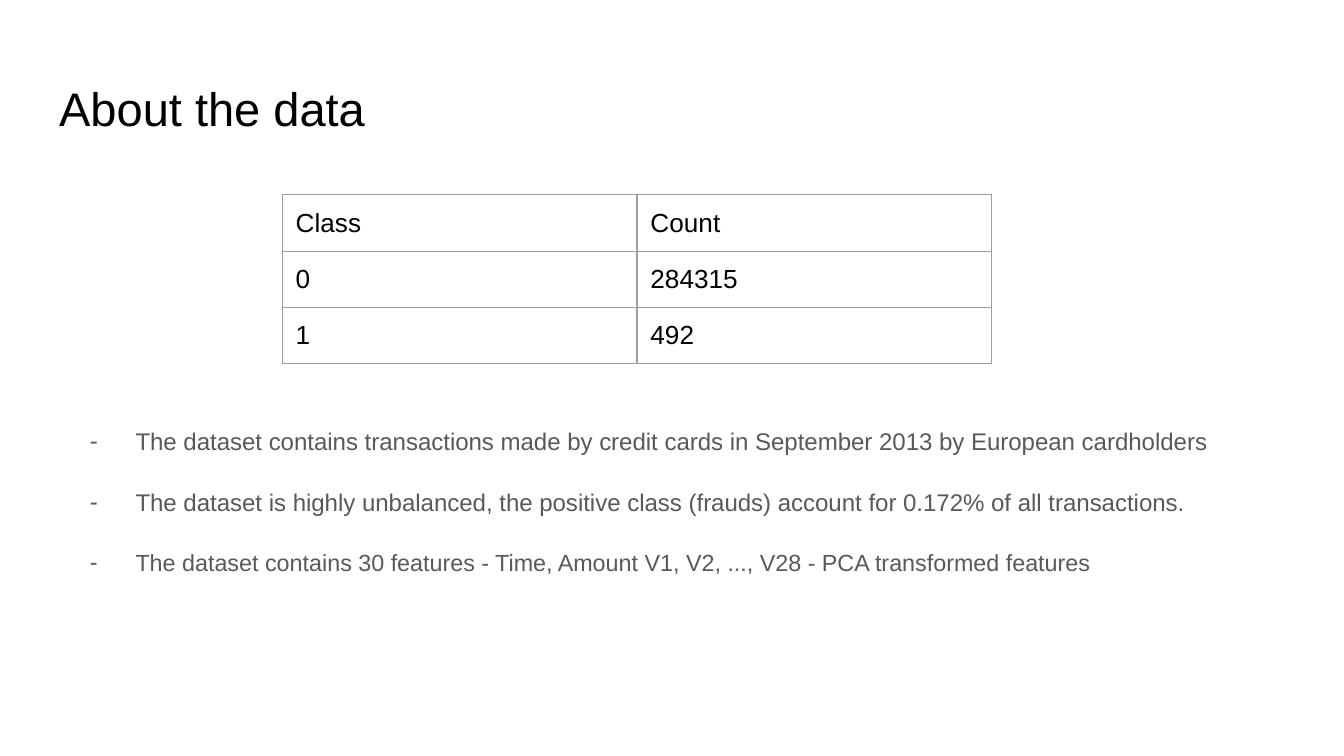
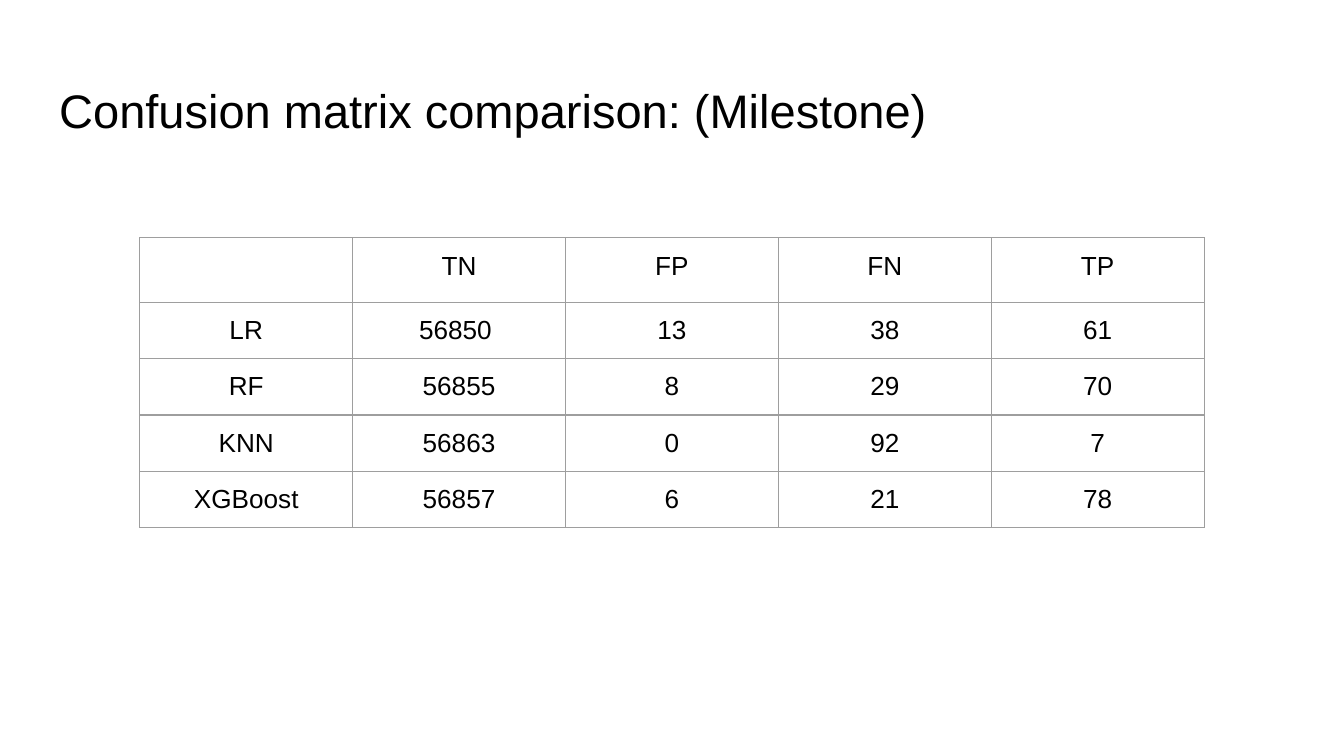
from lxml import etree
from pptx import Presentation
from pptx.dml.color import RGBColor
from pptx.enum.text import MSO_ANCHOR, MSO_AUTO_SIZE, PP_ALIGN
from pptx.oxml.ns import qn
from pptx.util import Inches, Pt

LEFT, CENTER = PP_ALIGN.LEFT, PP_ALIGN.CENTER
BOTTOM = MSO_ANCHOR.BOTTOM
NO_AUTOFIT = MSO_AUTO_SIZE.NONE

COLORS = {"text": "000000", "body": "595959", "border": "9E9E9E", "bg": "FFFFFF"}
FONT = "Arial"
TITLE_ONLY = 5
SLIDE_W = Inches(10)
SLIDE_H = SLIDE_W * 9 // 16
INSET = 0.1
ROW_H = Pt(30)
BORDER_PT = 0.75

CLASS_COUNTS = [("Class", "Count"), ("0", "284315"), ("1", "492")]
CONFUSION = [
    ("", "TN", "FP", "FN", "TP"),
    ("LR", "56850 ", "13", "38", "61"),
    ("RF", "56855", "8", "29", "70"),
    ("KNN", "56863", "0", "92", "7"),
    ("XGBoost", "56857", "6", "21", "78"),
]
BULLETS = [
    ("The dataset contains transactions made by credit cards in September 2013 "
     "by European cardholders", 12.91),
    ("The dataset is highly unbalanced, the positive class (frauds) account for "
     "0.172% of all transactions.", 12.91),
    ("The dataset contains 30 features - Time, Amount V1, V2, ..., V28 - "
     "PCA transformed features", 12.5),
]


def add_run(p, text, size, color):
    r = p.add_run()
    r.text = text
    r.font.name = FONT
    r.font.size = Pt(size)
    r.font.color.rgb = RGBColor.from_string(COLORS[color])


def set_insets(obj, bottom=INSET):
    """Set the margins of a text frame or a table cell."""
    obj.margin_left = obj.margin_right = obj.margin_top = Inches(INSET)
    obj.margin_bottom = Inches(bottom)


def format_frame(tf, bottom=INSET):
    tf.word_wrap = True
    tf.auto_size = NO_AUTOFIT
    tf.vertical_anchor = BOTTOM
    set_insets(tf, bottom)


def add_slide(prs, title, top, width):
    s = prs.slides.add_slide(prs.slide_layouts[TITLE_ONLY])
    s.background.fill.solid()
    s.background.fill.fore_color.rgb = RGBColor.from_string(COLORS["bg"])
    sp = s.shapes.title
    sp.left, sp.top = Inches(0.34), Inches(top)
    sp.width, sp.height = Inches(width), Inches(0.63)
    format_frame(sp.text_frame)
    p = sp.text_frame.paragraphs[0]
    p.alignment = LEFT
    add_run(p, title, 25.2, "text")
    return s


def set_borders(cell):
    tc_pr = cell._tc.get_or_add_tcPr()
    for i, side in enumerate(("lnL", "lnR", "lnT", "lnB")):
        ln = etree.Element(qn(f"a:{side}"), w=str(Pt(BORDER_PT)))
        fill = etree.SubElement(ln, qn("a:solidFill"))
        etree.SubElement(fill, qn("a:srgbClr"), val=COLORS["border"])
        tc_pr.insert(i, ln)


def set_empty_font(p):
    """Give a paragraph without runs the deck's font."""
    end = etree.SubElement(p._p, qn("a:endParaRPr"), sz="1800")
    etree.SubElement(end, qn("a:latin"), typeface=FONT)


def add_grid(s, rows, left, top, width, align=LEFT):
    n_rows, n_cols = len(rows), len(rows[0])
    table = s.shapes.add_table(n_rows, n_cols, Inches(left), Inches(top),
                               Inches(width), ROW_H * n_rows).table
    table.first_row = table.horz_banding = False
    for row, values in zip(table.rows, rows):
        for cell, value in zip(row.cells, values):
            cell.fill.background()
            set_borders(cell)
            set_insets(cell)
            p = cell.text_frame.paragraphs[0]
            p.alignment = align
            if value:
                add_run(p, value, 14, "text")
            else:
                set_empty_font(p)


def set_dash_bullet(p):
    p_pr = p._p.get_or_add_pPr()
    p_pr.set("marL", str(Inches(0.5)))
    p_pr.set("indent", str(Inches(-0.34)))
    color = etree.SubElement(p_pr, qn("a:buClr"))
    etree.SubElement(color, qn("a:srgbClr"), val=COLORS["body"])
    etree.SubElement(p_pr, qn("a:buFont"), typeface=FONT)
    etree.SubElement(p_pr, qn("a:buChar"), char="-")


def add_bullets(s, items):
    sp = s.shapes.add_textbox(Inches(0.41), Inches(1.27), Inches(8.98), Inches(3.74))
    tf = sp.text_frame
    format_frame(tf, bottom=0.72)
    for i, (text, size) in enumerate(items):
        p = tf.add_paragraph() if i else tf.paragraphs[0]
        p.line_spacing = 1.05
        p.space_before = Pt(16.5 if i else 0)
        set_dash_bullet(p)
        add_run(p, text, size, "body")


def main():
    prs = Presentation()
    prs.slide_width, prs.slide_height = SLIDE_W, SLIDE_H

    s = add_slide(prs, "About the data", 0.48, 9.05)
    add_bullets(s, BULLETS)
    add_grid(s, CLASS_COUNTS, 2.1, 1.45, 5.28)

    s = add_slide(prs, "Confusion matrix comparison: (Milestone)", 0.5, 9.32)
    add_grid(s, CONFUSION, 1.04, 1.77, 7.92, CENTER)

    prs.save("out.pptx")


if __name__ == "__main__":
    main()
